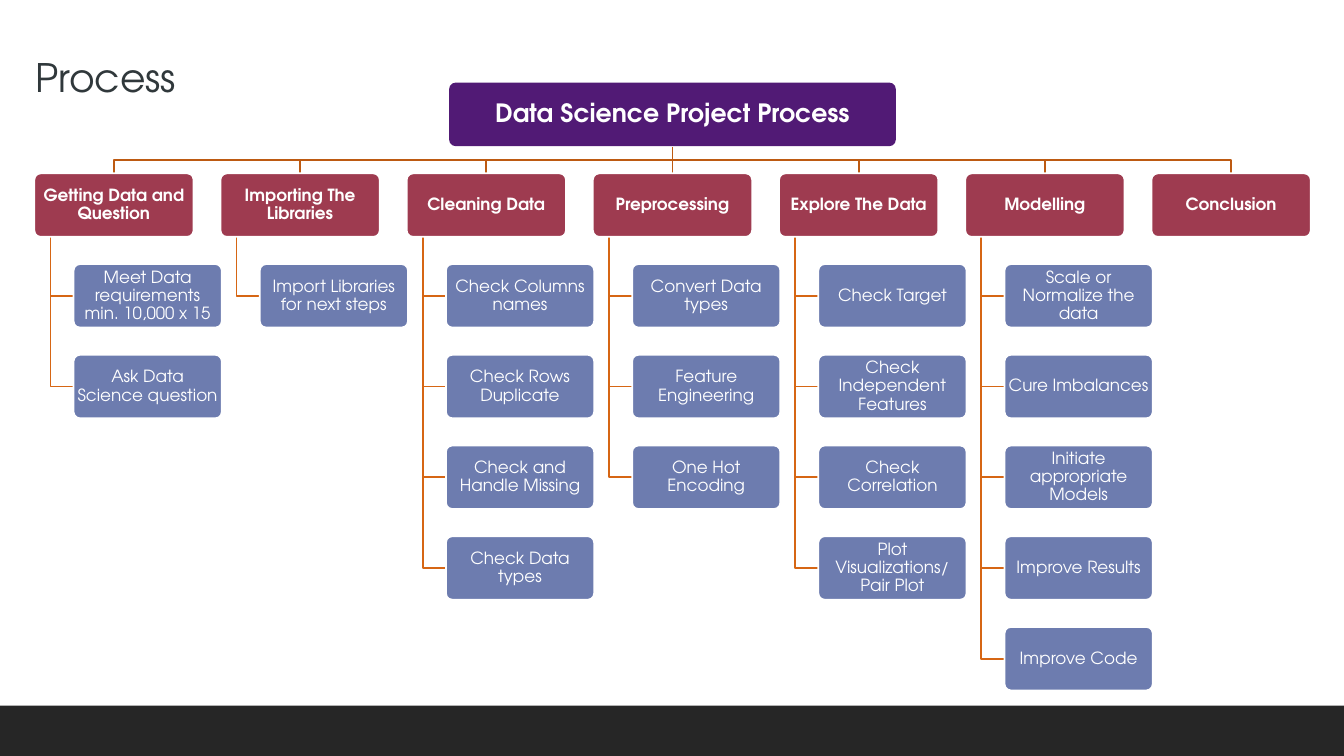
from pptx import Presentation
from pptx.dml.color import RGBColor
from pptx.enum.shapes import MSO_CONNECTOR, MSO_SHAPE
from pptx.enum.text import MSO_ANCHOR, MSO_AUTO_SIZE, PP_ALIGN
from pptx.oxml.ns import qn
from pptx.util import Inches, Pt
from lxml.etree import SubElement

WHITE = RGBColor(0xFF, 0xFF, 0xFF)
CHARCOAL = RGBColor(0x26, 0x26, 0x26)
SLATE = RGBColor(0x30, 0x38, 0x3B)
PURPLE = RGBColor(0x51, 0x1A, 0x75)
CRIMSON = RGBColor(0x9E, 0x3B, 0x50)
BLUE = RGBColor(0x6D, 0x7C, 0xAF)
BROWN = RGBColor(0xBD, 0x5A, 0x12)
ORANGE = RGBColor(0xD6, 0x66, 0x14)

STAGES = [
    ("Getting Data and Question",
     ["Meet Data requirements min. 10,000 x 15", "Ask Data Science question"]),
    ("Importing The Libraries", ["Import Libraries for next steps"]),
    ("Cleaning Data",
     ["Check Columns names", "Check Rows Duplicate", "Check and Handle Missing",
      "Check Data types"]),
    ("Preprocessing",
     ["Convert Data types", "Feature Engineering", "One Hot Encoding"]),
    ("Explore The Data",
     ["Check Target", "Check Independent Features", "Check Correlation",
      "Plot Visualizations/ Pair Plot"]),
    ("Modelling",
     ["Scale or Normalize the data", "Cure Imbalances",
      "Initiate appropriate Models", "Improve Results", "Improve Code"]),
    ("Conclusion", []),
]

CENTER = 6.67
ROOT_WIDTH, ROOT_TOP = 4.43, 0.82
BOX_HEIGHT = 0.63
ROOT_BOTTOM = 1.46
BUS_TOP = 1.59
STAGE_LEFT, STAGE_TOP, STAGE_WIDTH = 0.34, 1.72, 1.58
STAGE_BOTTOM = STAGE_TOP + BOX_HEIGHT
STAGE_PITCH = 11.08 / 6
STEP_INDENT, STEP_TOP, STEP_WIDTH = 0.39, 2.62, 1.47
STEP_PITCH = 0.9
SPINE_INDENT = 0.16


class ProcessSlide:
    font_name = "TeX Gyre Adventor"
    line_width = Pt(1.25)

    def __init__(self, presentation):
        self.slide = presentation.slides.add_slide(presentation.slide_layouts[5])
        self.shapes = self.slide.shapes

    def style_text(self, paragraph, size, color, bold=False):
        paragraph.font.name = self.font_name
        paragraph.font.size = Pt(size)
        paragraph.font.color.rgb = color
        paragraph.font.bold = bold

    def title(self, text, left, top, width, height):
        title = self.shapes.title
        title.left, title.top = Inches(left), Inches(top)
        title.width, title.height = Inches(width), Inches(height)
        frame = title.text_frame
        frame.text = text
        frame.auto_size = MSO_AUTO_SIZE.SHAPE_TO_FIT_TEXT
        frame.vertical_anchor = MSO_ANCHOR.MIDDLE
        paragraph = frame.paragraphs[0]
        paragraph.alignment = PP_ALIGN.LEFT
        self.style_text(paragraph, 28, SLATE)

    def block(self, kind, left, top, width, height, fill, outlined=False):
        shape = self.shapes.add_shape(
            kind, Inches(left), Inches(top), Inches(width), Inches(height))
        shape.shadow.inherit = False
        shape.fill.solid()
        shape.fill.fore_color.rgb = fill
        if outlined:
            shape.line.color.rgb = WHITE
            shape.line.width = self.line_width
        else:
            shape.line.fill.background()
        return shape

    def box(self, text, left, top, width, fill, size=12, bold=False, outlined=True):
        shape = self.block(MSO_SHAPE.ROUNDED_RECTANGLE, left, top, width,
                           BOX_HEIGHT, fill, outlined)
        shape.adjustments[0] = 0.1
        frame = shape.text_frame
        frame.text = text
        frame.word_wrap = True
        frame.vertical_anchor = MSO_ANCHOR.MIDDLE
        frame.margin_left = frame.margin_right = Inches(0.02)
        frame.margin_top = frame.margin_bottom = Inches(0.02)
        paragraph = frame.paragraphs[0]
        paragraph.alignment = PP_ALIGN.CENTER
        paragraph.line_spacing = 0.9
        self.style_text(paragraph, size, WHITE, bold)

    def straight(self, start, end, color):
        connector = self.shapes.add_connector(
            MSO_CONNECTOR.STRAIGHT, *map(Inches, start + end))
        connector.line.color.rgb = color
        connector.line.width = self.line_width
        SubElement(connector.element.spPr, qn("a:effectLst"))

    def elbow(self, points, color):
        corners = [(Inches(x), Inches(y)) for x, y in points]
        builder = self.shapes.build_freeform(*corners[0])
        builder.add_line_segments(corners[1:], close=False)
        shape = builder.convert_to_shape()
        shape.shadow.inherit = False
        shape.fill.background()
        shape.line.color.rgb = color
        shape.line.width = self.line_width


def main():
    presentation = Presentation()
    presentation.slide_width = Inches(13.33)
    presentation.slide_height = Inches(7.5)
    process = ProcessSlide(presentation)
    process.block(MSO_SHAPE.RECTANGLE, 0, 7, 13.33, 0.5, CHARCOAL)
    process.title("Process", 0.25, 0.48, 7.45, 0.57)

    lefts = [STAGE_LEFT + column * STAGE_PITCH for column in range(len(STAGES))]
    for column, (left, (_, steps)) in enumerate(zip(lefts, STAGES)):
        middle = left + STAGE_WIDTH / 2
        if column == len(STAGES) // 2:
            process.straight((CENTER, ROOT_BOTTOM), (CENTER, STAGE_TOP), BROWN)
        else:
            process.elbow([(CENTER, ROOT_BOTTOM), (CENTER, BUS_TOP),
                           (middle, BUS_TOP), (middle, STAGE_TOP)], BROWN)
        spine = left + SPINE_INDENT
        for row in range(len(steps)):
            step_middle = STEP_TOP + row * STEP_PITCH + BOX_HEIGHT / 2
            process.elbow([(spine, STAGE_BOTTOM), (spine, step_middle),
                           (left + STEP_INDENT, step_middle)], ORANGE)

    process.box("Data Science Project Process", CENTER - ROOT_WIDTH / 2, ROOT_TOP,
                ROOT_WIDTH, PURPLE, size=18, bold=True, outlined=False)
    for left, (stage, steps) in zip(lefts, STAGES):
        process.box(stage, left, STAGE_TOP, STAGE_WIDTH, CRIMSON, bold=True)
        for row, step in enumerate(steps):
            process.box(step, left + STEP_INDENT, STEP_TOP + row * STEP_PITCH,
                        STEP_WIDTH, BLUE)

    presentation.save("out.pptx")


if __name__ == "__main__":
    main()
